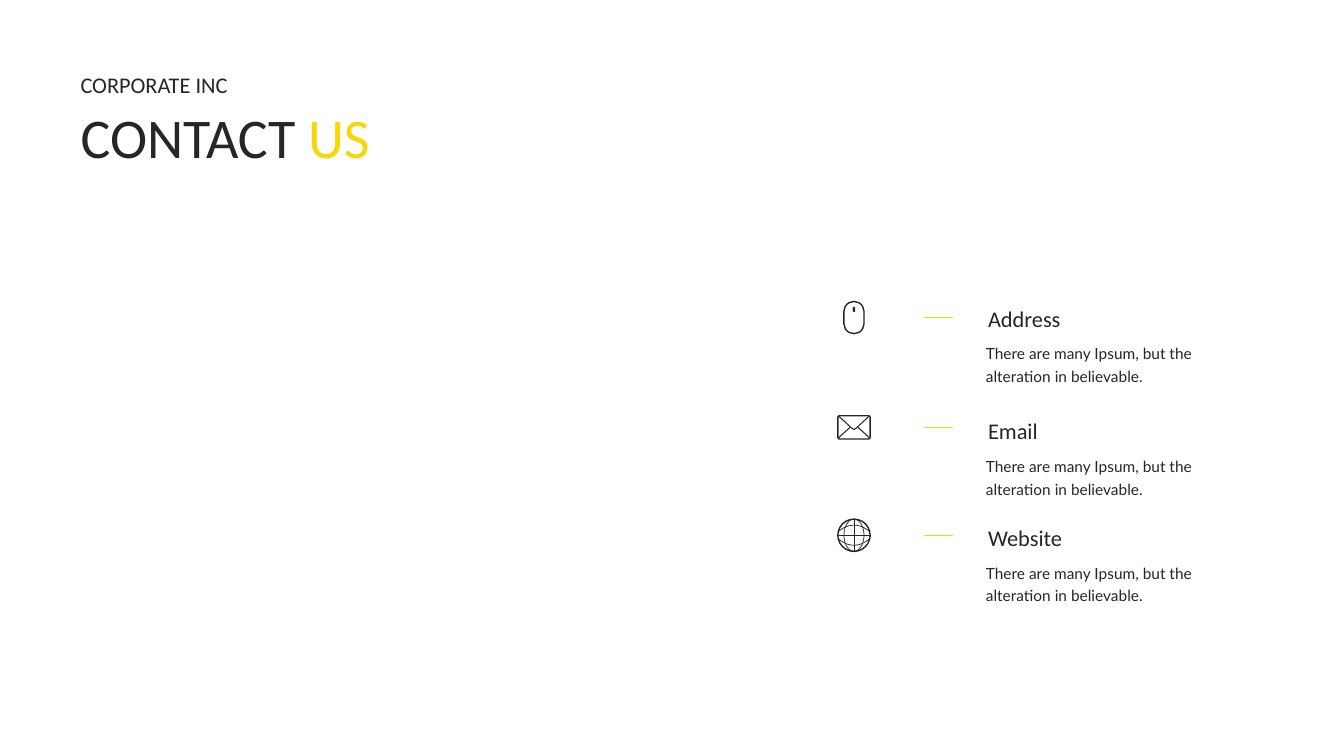
from pptx import Presentation
from pptx.dml.color import RGBColor
from pptx.enum.shapes import MSO_CONNECTOR, MSO_SHAPE
from pptx.enum.text import MSO_ANCHOR, MSO_AUTO_SIZE, PP_ALIGN
from pptx.oxml.ns import qn
from pptx.util import Inches, Pt
from lxml import etree

INK = RGBColor(0x26, 0x26, 0x26)
YELLOW = RGBColor(0xF6, 0xD8, 0x0A)
WHITE = RGBColor(0xFF, 0xFF, 0xFF)
HEADING_FONT, BODY_FONT = "Calibri", "Lato"
STRAIGHT = MSO_CONNECTOR.STRAIGHT
OVAL, ROUNDED = MSO_SHAPE.OVAL, MSO_SHAPE.ROUNDED_RECTANGLE
TOP, MIDDLE = MSO_ANCHOR.TOP, MSO_ANCHOR.MIDDLE
LEFT, GROW = PP_ALIGN.LEFT, MSO_AUTO_SIZE.SHAPE_TO_FIT_TEXT

MARGIN, ICON_COLUMN, RULE_COLUMN, TEXT_COLUMN = 0.7, 8.47, 9.16, 9.8
RULE_LENGTH = 0.29
INSET = 0.1
ICON_SIZE = 0.32
DETAILS = ["There are many Ipsum, but the", "alteration in believable."]


def write(holder, box, paragraphs, size, leading, font=HEADING_FONT, anchor=TOP, flush=False):
    """Place a text holder and fill it with paragraphs of (text, colour) runs."""
    holder.left, holder.top, holder.width, holder.height = map(Inches, box)
    frame = holder.text_frame
    frame.word_wrap = True
    frame.auto_size = GROW
    frame.vertical_anchor = anchor
    if flush:
        frame.margin_left = frame.margin_right = frame.margin_top = frame.margin_bottom = 0
    for index, runs in enumerate(paragraphs):
        paragraph = frame.add_paragraph() if index else frame.paragraphs[0]
        paragraph.alignment = LEFT
        paragraph.line_spacing = Pt(leading)
        paragraph.space_before = Pt(0)
        for text, colour in runs:
            run = paragraph.add_run()
            run.text = text
            run.font.name = font
            run.font.size = Pt(size)
            run.font.color.rgb = colour


def add_text(slide, box, paragraphs, size, leading, **style):
    """Add a text box."""
    holder = slide.shapes.add_textbox(*map(Inches, box))
    write(holder, box, paragraphs, size, leading, **style)


def add_rule(slide, start, end, colour, weight):
    """Add a straight line without a shadow."""
    rule = slide.shapes.add_connector(STRAIGHT, *map(Inches, (*start, *end)))
    rule.line.color.rgb = colour
    rule.line.width = Pt(weight)
    etree.SubElement(rule._element.spPr, qn("a:effectLst"))


def outline(shape, weight):
    """Give an icon part an unfilled dark outline."""
    shape.shadow.inherit = False
    shape.fill.background()
    shape.line.color.rgb = INK
    shape.line.width = Pt(weight)


def add_ring(slide, kind, middle, width, height, weight=1, rounding=None):
    """Add an outlined preset shape centred on the icon column."""
    ring = slide.shapes.add_shape(
        kind, Inches(ICON_COLUMN - width / 2), Inches(middle - height / 2), Inches(width), Inches(height))
    outline(ring, weight)
    if rounding is not None:
        ring.adjustments[0] = rounding
    return ring


def add_stroke(slide, middle, points, weight):
    """Add an open outline through points measured from the icon's centre."""
    places = [(Inches(ICON_COLUMN + x), Inches(middle + y)) for x, y in points]
    builder = slide.shapes.build_freeform(*places[0])
    builder.add_line_segments(places[1:], close=False)
    outline(builder.convert_to_shape(), weight)


def draw_mouse(slide, middle):
    """Draw the mouse icon."""
    add_ring(slide, ROUNDED, middle, 0.2, ICON_SIZE, rounding=0.5)
    wheel = add_ring(slide, ROUNDED, middle - 0.08, 0.02, 0.05, 0.25, rounding=0.5)
    wheel.fill.solid()
    wheel.fill.fore_color.rgb = INK


def draw_envelope(slide, middle):
    """Draw the envelope icon."""
    add_ring(slide, ROUNDED, middle, ICON_SIZE, 0.23, rounding=0.07)
    add_stroke(slide, middle, [(-0.15, -0.11), (-0.02, 0.01), (0, 0.02), (0.02, 0.01), (0.15, -0.11)], 0.75)
    for side in (-1, 1):
        add_stroke(slide, middle, [(side * 0.15, 0.1), (side * 0.04, 0)], 0.75)


def draw_globe(slide, middle):
    """Draw the globe icon."""
    add_ring(slide, OVAL, middle, ICON_SIZE, ICON_SIZE)
    add_ring(slide, OVAL, middle, 0.2, ICON_SIZE, 0.5)
    radius = ICON_SIZE / 2
    add_stroke(slide, middle, [(-radius, 0), (radius, 0)], 0.5)
    add_stroke(slide, middle, [(0, -radius), (0, radius)], 0.5)
    steps = [step / 6 for step in range(-6, 7)]
    for side in (-1, 1):
        add_stroke(slide, middle, [(0.15 * t, side * (0.1 - 0.06 * t * t)) for t in steps], 0.5)


def add_contact(slide, name, draw_icon, middle, heading_top):
    """Add one contact row: icon, yellow rule, heading and details."""
    draw_icon(slide, middle)
    add_rule(slide, (RULE_COLUMN, middle), (RULE_COLUMN + RULE_LENGTH, middle), YELLOW, 1)
    add_text(slide, (TEXT_COLUMN, heading_top, 1.47, 0.28), [[(name, INK)]], 16, 20,
             anchor=MIDDLE, flush=True)
    add_text(slide, (TEXT_COLUMN - INSET - 0.02, heading_top + 0.32, 2.48, 0.53),
             [[(line, INK)] for line in DETAILS], 11, 16, font=BODY_FONT)


def main():
    """Build the contact slide."""
    deck = Presentation()
    deck.slide_width, deck.slide_height = Inches(13.33), Inches(7.5)
    slide = deck.slides.add_slide(deck.slide_layouts[5])
    slide.background.fill.solid()
    slide.background.fill.fore_color.rgb = WHITE

    write(slide.shapes.title, (MARGIN, 1.01, 4.54, 0.74), [[("CONTACT ", INK), ("US", YELLOW)]], 40, 45)
    add_text(slide, (MARGIN, 0.64, 1.95, 0.38), [[("CORPORATE INC", INK)]], 16, 20)

    contacts = [
        ("Address", draw_mouse, 3.15, 3.01),
        ("Email", draw_envelope, 4.24, 4.13),
        ("Website", draw_globe, 5.31, 5.19),
    ]
    for contact in contacts:
        add_contact(slide, *contact)

    deck.save("out.pptx")


if __name__ == "__main__":
    main()
